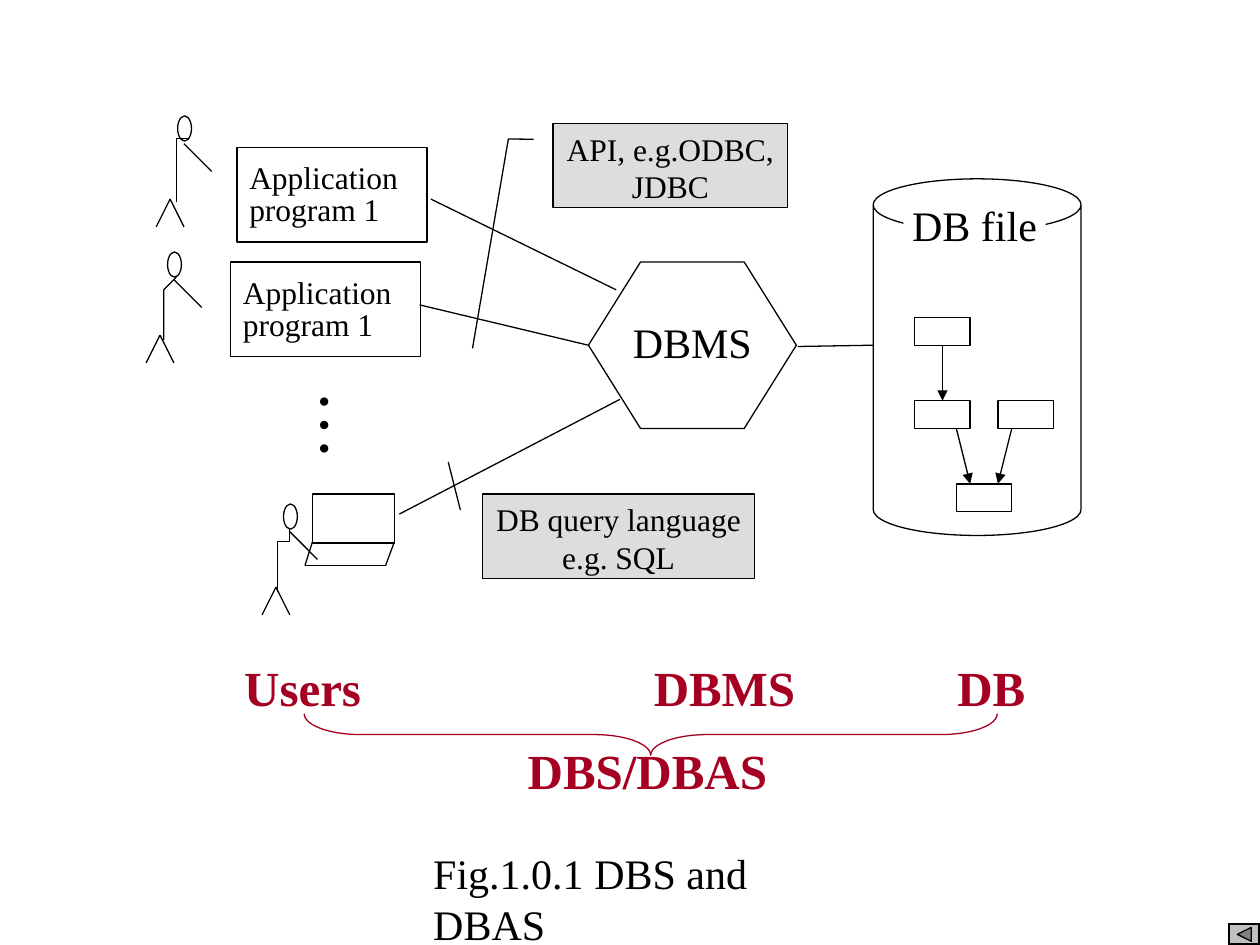
import math
from lxml import etree
from pptx import Presentation, util as u
from pptx.dml.color import RGBColor
from pptx.enum import shapes as kinds, text as txt
from pptx.oxml.ns import qn

THEME = dict(font="Times New Roman", ink="000000", accent="A50021", paper="FFFFFF",
             note="DDDDDD", button="C0C0C0", arrow="808080",
             small=18, body=24, heading=28, dots=40, line=0.75)

presentation = Presentation()
presentation.slide_width, presentation.slide_height = u.Inches(10), u.Inches(7.5)
slide = presentation.slides.add_slide(presentation.slide_layouts[6])
shape_kind = kinds.MSO_SHAPE
CELL = presentation.slide_width // 100  # grid of 100 columns by 75 rows


def draw(kind, x, y, w, h, fill="paper", line="ink", adjust=()):
    """Add a preset shape, measured in grid cells."""
    shape = slide.shapes.add_shape(kind, *(round(v * CELL) for v in (x, y, w, h)))
    shape.shadow.inherit = False
    for index, value in enumerate(adjust):
        shape.adjustments[index] = value
    if fill:
        shape.fill.solid()
        shape.fill.fore_color.rgb = RGBColor.from_string(THEME[fill])
    else:
        shape.fill.background()
    if line:
        shape.line.color.rgb = RGBColor.from_string(THEME[line])
        shape.line.width = u.Pt(THEME["line"])
    else:
        shape.line.fill.background()
    return shape


def write(shape, content, size="body", color="ink", bold=False, align=None,
          spacing=None, insets=(1, 0.5, 1, 0.5), wrap=True):
    """Fill a shape with text, one paragraph per line of content."""
    frame = shape.text_frame
    frame.word_wrap = wrap
    frame.vertical_anchor = txt.MSO_ANCHOR.TOP
    if not wrap:
        frame.auto_size = txt.MSO_AUTO_SIZE.SHAPE_TO_FIT_TEXT
    (frame.margin_left, frame.margin_top, frame.margin_right,
     frame.margin_bottom) = (round(v * CELL) for v in insets)
    frame.text = content
    for paragraph in frame.paragraphs:
        paragraph.alignment = align
        paragraph.line_spacing = spacing
        font = paragraph.font
        font.name, font.size, font.bold = THEME["font"], u.Pt(THEME[size]), bold
        font.color.rgb = RGBColor.from_string(THEME[color])
    return frame


center, justify = txt.PP_ALIGN.CENTER, txt.PP_ALIGN.JUSTIFY

# DBMS and database file
dbms = draw(shape_kind.HEXAGON, 46.7, 20.8, 16.5, 13.2, adjust=(0.313, 1.155))
write(dbms, "DBMS", align=center, insets=(0, 2.1, 0, 0.5))
draw(shape_kind.CAN, 69.3, 14.2, 16.5, 28.3, adjust=(0.25,))
file_label = draw(shape_kind.RECTANGLE, 71.7, 15.8, 11.3, 4.4, line=None)
write(file_label, "DB file", align=center, insets=(0, 0, 0, 0))
for x, y in ((72.6, 25.2), (72.6, 31.8), (79.2, 31.8), (75.9, 38.4)):
    draw(shape_kind.RECTANGLE, x, y, 4.4, 2.2)

# Application programs
for x, y in ((18.8, 11.7), (18.3, 20.8)):
    program = draw(shape_kind.RECTANGLE, x, y, 15.1, 7.5)
    write(program, "Application program 1", size="small", align=justify,
          spacing=0.85, insets=(1, 1.3, 1, 0.5))

# Vertical ellipsis between the users
ellipsis = slide.shapes.add_textbox(*(round(v * CELL) for v in (23, 30, 8.6, 9.2)))
frame = write(ellipsis, "…", size="dots", insets=(0.5, 1, 0.5, 1))
frame._txBody.bodyPr.set("vert", "eaVert")

# Terminal screen
draw(shape_kind.RECTANGLE, 24.8, 39.2, 6.5, 3.9)

# Lines: start, end, arrowhead
lines = [
    (13.3, 49.5, 13.3, 49.5, False),
    (24.8, 43, 24.2, 44.9, False),  # keyboard
    (31.3, 43, 30.6, 44.9, False),
    (24.2, 44.9, 30.6, 44.9, False),
    (63.3, 27.5, 69.3, 27.4, False),  # links to the DBMS
    (34.2, 15.8, 48.9, 23, False),
    (33.3, 24.2, 46.7, 27.4, False),
    (31.7, 40.8, 49.2, 31.7, False),
    (74.8, 27.4, 74.8, 31.8, True),  # links between records
    (75.9, 34, 77, 38.4, True),
    (80.3, 34, 79.2, 38.4, True),
]

# Users: head, curved back, then two legs and an arm
for x, y in ((13.5, 9.2), (12.7, 20), (21.9, 40)):
    draw(shape_kind.FLOWCHART_CONNECTOR, x + 0.6, y, 1.1, 2)
    neck, hip = y + 2.2, y + 6.6
    angles = [math.radians(step * 7.5) for step in range(13)]
    curve = [(x + 1.1 * (1 - math.sin(a)), hip - 4.4 * math.cos(a)) for a in angles]
    builder = slide.shapes.build_freeform(*curve[0], scale=CELL)
    builder.add_line_segments(curve[1:], close=False)
    back = builder.convert_to_shape()
    back.shadow.inherit = False
    back.fill.background()
    back.line.color.rgb = RGBColor.from_string(THEME["ink"])
    back.line.width = u.Pt(THEME["line"])
    lines += [(x, hip, x + 1.1, hip + 2.2, False),
              (x, hip, x - 1.1, hip + 2.2, False),
              (x + 1.1, neck, x + 3.3, neck + 2.2, False)]

for *ends, arrow in lines:
    connector = slide.shapes.add_connector(
        kinds.MSO_CONNECTOR.STRAIGHT, *(round(v * CELL) for v in ends))
    connector.line.color.rgb = RGBColor.from_string(THEME["ink"])
    connector.line.width = u.Pt(THEME["line"])
    if arrow:
        etree.SubElement(connector.line._get_or_add_ln(), qn("a:tailEnd"), type="triangle")
    etree.SubElement(connector._element.spPr, qn("a:effectLst"))

# Interface callouts
for content, x, y, w, adjust in (
        ("DB query language\ne.g. SQL", 38.3, 39.2, 21.6,
         (0.188, -0.083, 0.185, -0.082, -0.378, -0.126)),
        ("API, e.g.ODBC, JDBC", 43.9, 9.8, 18.6,
         (0.188, -0.083, 0.185, -0.191, 2.664, -0.344))):
    callout = draw(shape_kind.LINE_CALLOUT_2, x, y, w, 6.7, fill="note", adjust=adjust)
    write(callout, content, size="small", align=center)

# Brace joining the three parts
brace = draw(shape_kind.LEFT_BRACE, 50, 30.8, 3.3, 55, fill=None, line="accent",
             adjust=(1.36, 0.5))
brace.rotation = 270

# Headings and caption
heading = dict(size="heading", color="accent", bold=True)
for content, x, y, w, h, style in (
        ("Users", 18.4, 51.7, 11.3, 5.7, heading),
        ("DBMS", 50.9, 51.7, 13.2, 5.7, heading),
        ("DB", 75, 51.7, 7.4, 5.7, heading),
        ("DBS/DBAS", 40.9, 58.3, 21, 5.7, heading),
        ("Fig.1.0.1 DBS and DBAS", 33.4, 66.8, 36.6, 5, {})):
    label = slide.shapes.add_textbox(*(round(v * CELL) for v in (x, y, w, h)))
    write(label, content, wrap=False, **style)

# Back button
draw(shape_kind.BEVEL, 97.5, 73.3, 2.5, 1.7, fill="button", adjust=(0.06,))
back_arrow = draw(shape_kind.ISOSCELES_TRIANGLE, 98.2, 73.6, 1.1, 1.1, fill="arrow")
back_arrow.rotation = 270

presentation.save("out.pptx")
